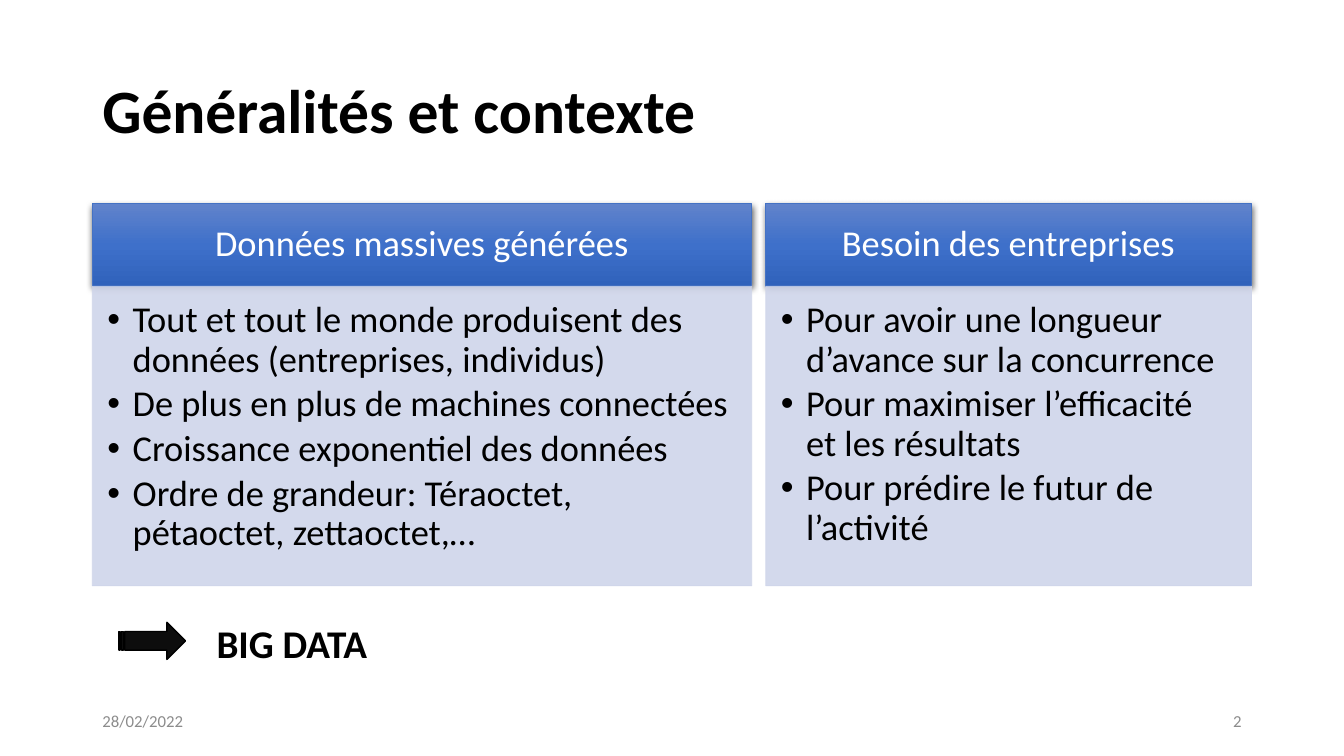
from copy import deepcopy

from lxml import etree
from pptx import Presentation
from pptx import util as u
from pptx.dml.color import RGBColor
from pptx.enum import shapes, text
from pptx.oxml import ns


def color(hex_string):
    return RGBColor.from_string(hex_string)


def add_xml(parent, tag, **attributes):
    values = {name: str(value) for name, value in attributes.items()}
    return etree.SubElement(parent, ns.qn(tag), values)


class SlideBuilder:
    font = "Calibri"
    black = "000000"
    white = "FFFFFF"
    gray = "8C8C8C"
    body_fill = "CFD5EA"
    header_line = "4472C4"
    header_stops = [(0, "6183CB"), (0.5, "3E70CA"), (1, "3062BB")]

    def __init__(self, slide):
        self.slide = slide

    def set_frame(self, shape, anchor, margins=(7.2, 3.6, 7.2, 3.6)):
        frame = shape.text_frame
        frame.word_wrap = True
        frame.vertical_anchor = anchor
        sides = (u.Pt(margin) for margin in margins)
        frame.margin_left, frame.margin_top, frame.margin_right, frame.margin_bottom = sides
        return frame

    def add_words(self, paragraph, words, size, hex_color, bold=False,
                  align=text.PP_ALIGN.LEFT, spacing=1.0):
        paragraph.alignment = align
        paragraph.line_spacing = spacing
        run = paragraph.add_run()
        run.text = words
        run.font.name = self.font
        run.font.size = u.Pt(size)
        run.font.bold = bold
        run.font.color.rgb = color(hex_color)

    def label(self, box, words, size, hex_color, anchor=text.MSO_ANCHOR.MIDDLE, **style):
        shape = self.slide.shapes.add_textbox(*map(u.Pt, box))
        frame = self.set_frame(shape, anchor)
        self.add_words(frame.paragraphs[0], words, size, hex_color, **style)

    def block(self, kind, box, fill, line, width):
        shape = self.slide.shapes.add_shape(kind, *map(u.Pt, box))
        shape.shadow.inherit = False
        shape.fill.solid()
        shape.fill.fore_color.rgb = color(fill)
        shape.line.color.rgb = color(line)
        shape.line.width = u.Pt(width)
        return shape

    def header(self, box, words):
        shape = self.block(shapes.MSO_SHAPE.RECTANGLE, box, self.header_line,
                           self.header_line, 0.5)
        # Vertical gradient with three stops
        shape.fill.gradient()
        shape.fill.gradient_angle = 270
        properties = shape._element.spPr
        stops = properties.find(".//" + ns.qn("a:gsLst"))
        stops.append(deepcopy(stops[0]))
        for stop, (position, hex_color) in zip(shape.fill.gradient_stops, self.header_stops):
            stop.position = position
            stop.color.rgb = color(hex_color)
        # Soft shadow below
        effects = properties.find(ns.qn("a:effectLst"))
        shadow = add_xml(effects, "a:outerShdw", blurRad=u.Pt(4.5), dist=u.Pt(1.5),
                         dir=5400000, algn="ctr", rotWithShape=0)
        tint = add_xml(shadow, "a:srgbClr", val=self.black)
        add_xml(tint, "a:alpha", val=63000)
        frame = self.set_frame(shape, text.MSO_ANCHOR.MIDDLE, (14.4, 8.6, 14.4, 8.6))
        self.add_words(frame.paragraphs[0], words, 26, self.white,
                       align=text.PP_ALIGN.CENTER, spacing=0.9)

    def bullet_panel(self, box, points):
        shape = self.block(shapes.MSO_SHAPE.RECTANGLE, box, self.body_fill,
                           self.body_fill, 0.5)
        for tint in list(shape._element.spPr.iter(ns.qn("a:srgbClr"))):
            add_xml(tint, "a:alpha", val=90000)
        frame = self.set_frame(shape, text.MSO_ANCHOR.TOP, (10.8, 10.8, 14.4, 16.6))
        for index, point in enumerate(points):
            paragraph = frame.add_paragraph() if index else frame.paragraphs[0]
            self.add_words(paragraph, point, 26, self.black, spacing=0.9)
            paragraph.space_after = u.Pt(3.9)
            properties = paragraph._p.get_or_add_pPr()
            properties.set("marL", str(u.Pt(18)))
            properties.set("indent", str(u.Pt(-18)))
            add_xml(properties, "a:buFont", typeface="Arial")
            add_xml(properties, "a:buChar", char="•")


LEFT, WIDTH = 66, 828
HEADER_TOP, HEADER_HEIGHT, BODY_HEIGHT = 145.5, 59, 214

COLUMNS = [
    (LEFT, 471, "Données massives générées", [
        "Tout et tout le monde produisent des données (entreprises, individus)",
        "De plus en plus de machines connectées",
        "Croissance exponentiel des données",
        "Ordre de grandeur: Téraoctet, pétaoctet, zettaoctet,…",
    ]),
    (547, 347, "Besoin des entreprises", [
        "Pour avoir une longueur d’avance sur la concurrence",
        "Pour maximiser l’efficacité et les résultats",
        "Pour prédire le futur de l’activité",
    ]),
]


def main():
    deck = Presentation()
    deck.slide_width, deck.slide_height = u.Pt(960), u.Pt(540)
    builder = SlideBuilder(deck.slides.add_slide(deck.slide_layouts[6]))

    # Title
    builder.label((LEFT, 28.8, WIDTH, 104.4), "Généralités et contexte", 44,
                  builder.black, bold=True, spacing=0.9)

    # Two columns
    for left, width, heading, points in COLUMNS:
        builder.header((left, HEADER_TOP, width, HEADER_HEIGHT), heading)
        builder.bullet_panel((left, HEADER_TOP + HEADER_HEIGHT, width, BODY_HEIGHT), points)

    # Conclusion
    builder.block(shapes.MSO_SHAPE.STRIPED_RIGHT_ARROW, (85, 444.5, 47.5, 26.5),
                  "0D0D0D", builder.black, 1)
    builder.label((147.6, 439, 257, 41), "BIG DATA", 28, builder.black,
                  anchor=text.MSO_ANCHOR.TOP, bold=True)

    # Footer
    builder.label((LEFT, 500.5, 216, 28.8), "28/02/2022", 12, builder.gray)
    builder.label((LEFT + WIDTH - 216, 500.5, 216, 28.8), "2", 12, builder.gray,
                  align=text.PP_ALIGN.RIGHT)

    deck.save("out.pptx")


if __name__ == "__main__":
    main()
